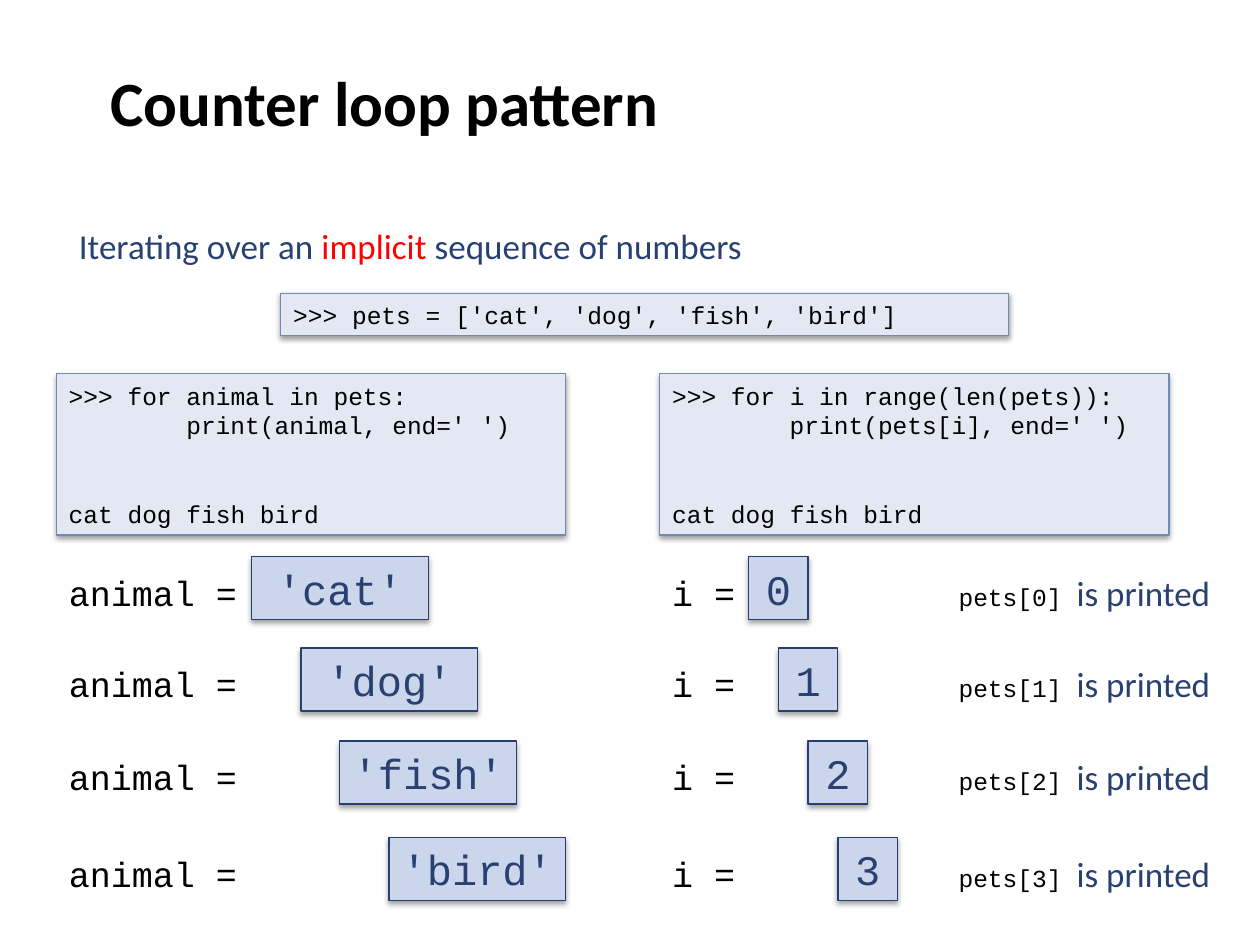
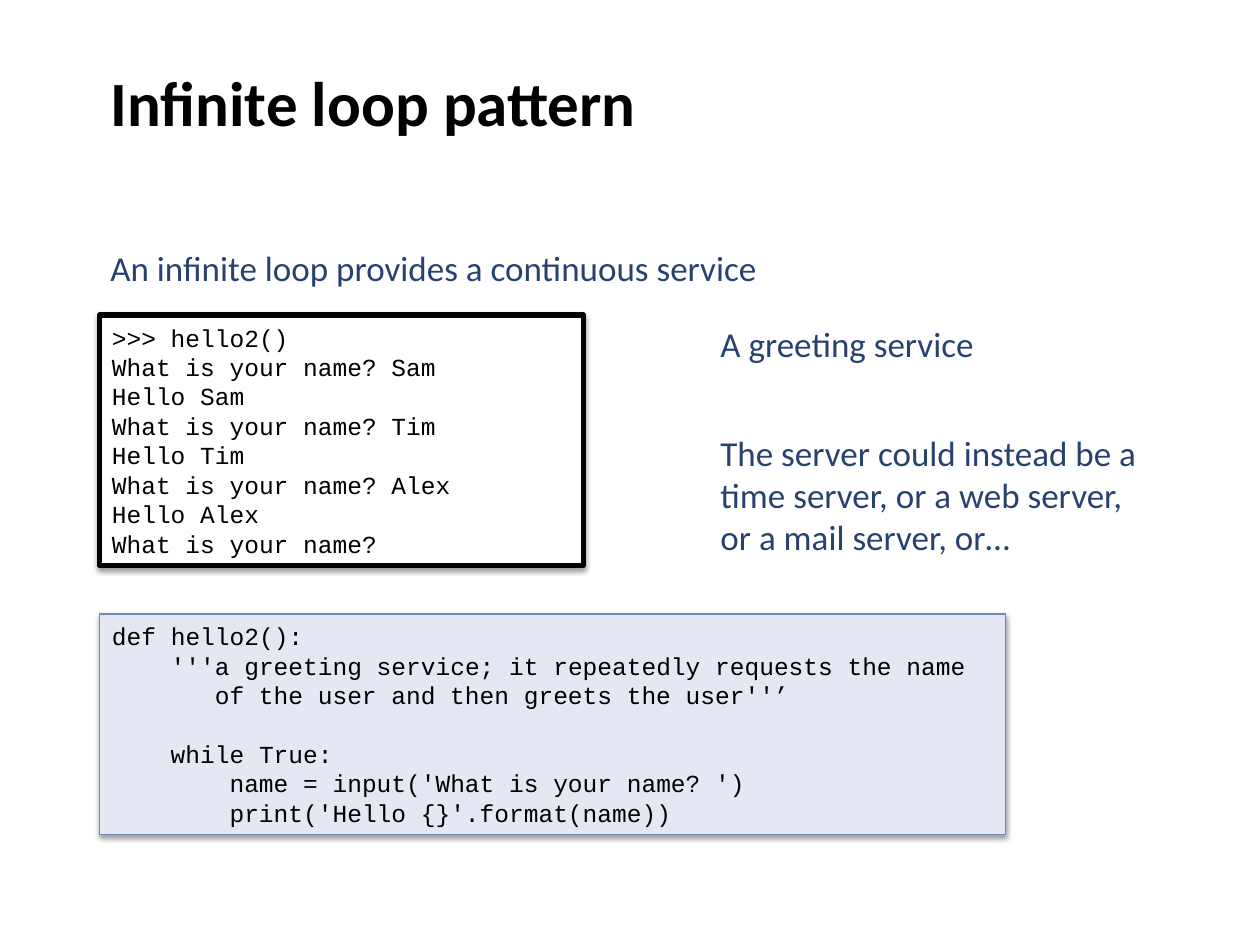
from dataclasses import dataclass

from lxml.etree import SubElement
from pptx import Presentation
from pptx.dml.color import RGBColor
from pptx.enum.shapes import MSO_SHAPE as Preset
from pptx.enum.text import MSO_ANCHOR as Anchor, MSO_AUTO_SIZE as AutoSize, PP_ALIGN as Align
from pptx.oxml.ns import qn
from pptx.util import Pt


@dataclass(frozen=True)
class Theme:
    """Colours, fonts and type sizes of the deck."""
    ink: str = "000000"
    navy: str = "294171"
    red: str = "FF0000"
    white: str = "FFFFFF"
    panel: str = "E3E8F2"
    panel_edge: str = "7088BA"
    value: str = "CBD6EC"
    value_edge: str = "263F70"
    sans: str = "Calibri"
    mono: str = "Courier New"
    title: int = 36
    large: int = 24
    text: int = 20
    code: int = 14
    code_advance: float = 8.4
    code_pitch: float = 16.9


THEME = Theme()


def style(font, size, name):
    """Return the format values of one kind of text."""
    return dict(font=dict(size=Pt(size), name=name), colour=font)


TITLE = style(THEME.ink, THEME.title, THEME.sans)
PROSE = style(THEME.navy, THEME.text, THEME.sans)
ACCENT = style(THEME.red, THEME.text, THEME.sans)
CODE = style(THEME.ink, THEME.code, THEME.mono)
LABEL = style(THEME.ink, THEME.text, THEME.mono)
VALUE = style(THEME.navy, THEME.large, THEME.mono)


def apply(target, values):
    """Set each named attribute on the target."""
    for name, value in values.items():
        setattr(target, name, value)


def place(shape, box):
    """Move a shape to a box given in points."""
    apply(shape, dict(zip(("left", "top", "width", "height"), map(Pt, box))))


def add_span(para, text, look, bold=False):
    """Append one formatted run to a paragraph."""
    span = para.add_run()
    span.text = text
    apply(span.font, dict(look["font"], bold=bold))
    span.font.color.rgb = RGBColor.from_string(look["colour"])


def add_title(page, text, box):
    """Fill and place the title placeholder."""
    title = page.shapes.title
    place(title, box)
    apply(title.text_frame, dict(vertical_anchor=Anchor.MIDDLE, auto_size=AutoSize.NONE))
    para = title.text_frame.paragraphs[0]
    para.alignment = Align.LEFT
    add_span(para, text, TITLE, bold=True)


def add_text(page, box, spans, wrap=False):
    """Add a line or block of text made of (text, look) spans."""
    text_box = page.shapes.add_textbox(*map(Pt, box))
    apply(text_box.text_frame, dict(word_wrap=wrap, vertical_anchor=Anchor.MIDDLE,
                                    auto_size=AutoSize.SHAPE_TO_FIT_TEXT))
    for text, look in spans:
        add_span(text_box.text_frame.paragraphs[0], text, look)


def add_shadow(shape, alpha, distance):
    """Give a shape a soft shadow straight below it."""
    effects = SubElement(shape._element.spPr, qn("a:effectLst"))
    shadow = SubElement(effects, qn("a:outerShdw"), blurRad=str(Pt(3.1)), dist=str(Pt(distance)),
                        dir="5400000", rotWithShape="0")
    colour = SubElement(shadow, qn("a:srgbClr"), val=THEME.ink)
    SubElement(colour, qn("a:alpha"), val=str(alpha * 1000))


def add_card(page, box, fill, edge, weight=0.75, alpha=38, distance=1.6):
    """Add a filled, outlined and shadowed rectangle."""
    card = page.shapes.add_shape(Preset.RECTANGLE, *map(Pt, box))
    card.fill.solid()
    card.fill.fore_color.rgb = RGBColor.from_string(fill)
    card.line.color.rgb = RGBColor.from_string(edge)
    card.line.width = Pt(weight)
    add_shadow(card, alpha, distance)
    apply(card.text_frame, dict(word_wrap=True, vertical_anchor=Anchor.MIDDLE))
    return card


def add_code(page, box, lines, fill=THEME.panel, edge=THEME.panel_edge, weight=0.75):
    """Add a code panel from (indent in characters, skipped lines, text) rows."""
    frame = add_card(page, box, fill, edge, weight).text_frame
    frame.auto_size = AutoSize.SHAPE_TO_FIT_TEXT
    for index, (indent, skipped, text) in enumerate(lines):
        para = frame.add_paragraph() if index else frame.paragraphs[0]
        apply(para, dict(alignment=Align.LEFT, space_before=Pt(skipped * THEME.code_pitch)))
        para._p.get_or_add_pPr().set("marL", str(Pt(indent * THEME.code_advance)))
        add_span(para, text, CODE)


def add_value(page, box, text):
    """Add a box holding the current value of a variable."""
    card = add_card(page, box, THEME.value, THEME.value_edge, alpha=35, distance=1.8)
    para = card.text_frame.paragraphs[0]
    para.alignment = Align.CENTER
    add_span(para, text, VALUE)


def add_trace(page, left, tops, label, label_width, values, value_lefts, value_width):
    """Add one row for each value that the loop variable takes."""
    for top, value, value_left in zip(tops, values, value_lefts):
        add_text(page, (left, top + 4.7, label_width, 31.5), [(label, LABEL)])
        add_value(page, (left + value_left, top, value_width, 36), value)


def build_counter(page):
    """Build the slide that compares two ways to loop over a list."""
    add_title(page, "Counter loop pattern", TITLE_BOX)
    add_text(page, (38, 124.5, 643, 31.5),
             [("Iterating over an ", PROSE), ("implicit ", ACCENT),
              ("sequence of numbers", PROSE)], wrap=True)
    add_code(page, (160.5, 167.6, 416, 24.2), [(0, 0, ">>> pets = ['cat', 'dog', 'fish', 'bird']")])
    left, right = 32.2, 377
    loops = ((left, "animal in pets", "animal"), (right, "i in range(len(pets))", "pets[i]"))
    for side, header, item in loops:
        add_code(page, (side, 213.6, 291, 92.2),
                 [(0, 0, f">>> for {header}:"), (8, 0, f"print({item}, end=' ')"),
                  (0, 2, "cat dog fish bird")])
    tops = (318.2, 370.3, 423.5, 478.6)
    add_trace(page, left, tops, "animal =", 111.6,
              [f"'{pet}'" for pet in ("cat", "dog", "fish", "bird")],
              (111.5, 139.8, 162, 190), 101)
    add_trace(page, right, tops, "i =", 51.1, map(str, range(4)),
              [50.8 + 17 * step for step in range(4)], 34)
    for index, top in enumerate(tops):
        add_text(page, (540.7, top + 4.7, 160, 31.5),
                 [(f"pets[{index}] ", CODE), ("is printed", PROSE)])


def build_infinite(page):
    """Build the slide that shows a service running forever."""
    add_title(page, "Infinite loop pattern", TITLE_BOX)
    add_text(page, (56, 137, 388, 31.5),
             [("An infinite loop provides a continuous service", PROSE)])
    question = "What is your name?"
    session = [">>> hello2()"]
    for name in ("Sam", "Tim", "Alex"):
        session += [f"{question} {name}", f"Hello {name}"]
    add_code(page, (56.9, 180, 276.5, 143.2), [(0, 0, line) for line in session + [question]],
             THEME.white, THEME.ink, 3)
    add_code(page, (56.9, 350.8, 517.7, 126),
             [(0, 0, "def hello2():"),
              (4, 0, "'''a greeting service; it repeatedly requests the name"),
              (7, 0, "of the user and then greets the user''’"),
              (4, 1, "while True:"),
              (8, 0, f"name = input('{question} ')"),
              (8, 0, "print('Hello {}'.format(name))")])
    add_text(page, (404.6, 180.3, 160.5, 31.5), [("A greeting service", PROSE)])
    add_text(page, (404.6, 242.8, 265.7, 80),
             [("The server could instead be a time server, or a web server, "
               "or a mail server, or…", PROSE)], wrap=True)


TITLE_BOX = (56, 0, 612, 116)

deck = Presentation()
apply(deck, dict(slide_width=Pt(720), slide_height=Pt(540)))
for build in (build_counter, build_infinite):
    build(deck.slides.add_slide(deck.slide_layouts.get_by_name("Title Only")))
deck.save("out.pptx")
